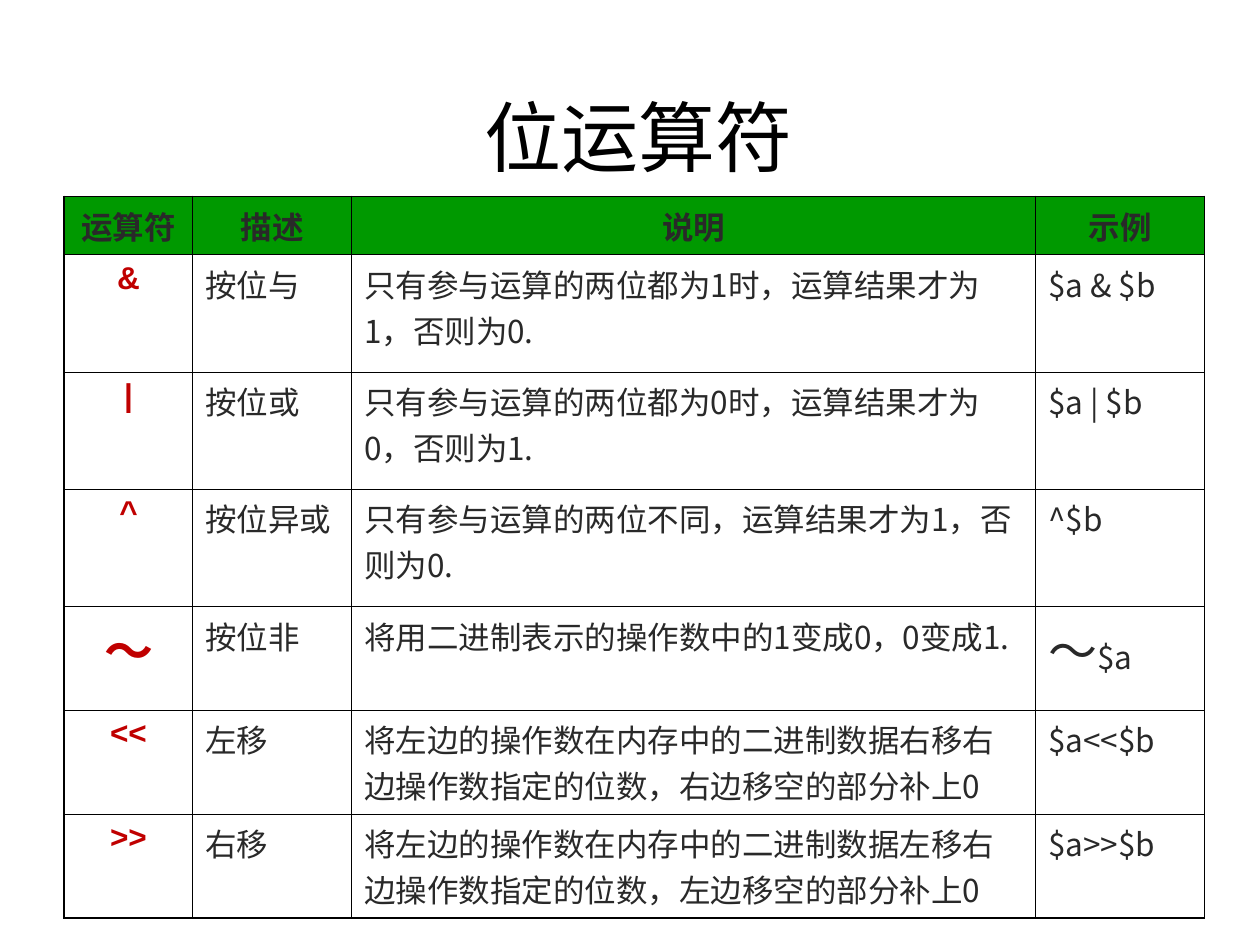
from lxml.etree import SubElement
from pptx import Presentation
from pptx.dml.color import RGBColor
from pptx.enum.text import MSO_ANCHOR as Anchor, PP_ALIGN as Align
from pptx.oxml.ns import qn
from pptx.util import Inches, Pt

BLACK = RGBColor(0x00, 0x00, 0x00)
DARK = RGBColor(0x29, 0x29, 0x29)
RED = RGBColor(0xC0, 0x00, 0x00)
GREEN = RGBColor(0x00, 0x99, 0x00)

CJK_FONT = "Noto Sans CJK SC"
TITLE_FONT = {"name": "Arial", "size": Pt(44), "bold": False}
HEADER_FONT = {"name": CJK_FONT, "size": Pt(18), "bold": True}
OPERATOR_FONT = {"name": "Arial", "size": Pt(18), "bold": True}
BODY_FONT = {"name": CJK_FONT, "size": Pt(18), "bold": False}

TILDE = "～"
TILDE_SIZE = Pt(28)
THIN, THICK = 0.45, 1.08

COLUMN_WIDTHS = [1.02, 1.26, 5.43, 1.34]
ROW_HEIGHTS = [0.42, 0.93, 0.93, 0.93, 0.78, 0.74, 0.74]
ROWS = [
    ["运算符", "描述", "说明", "示例"],
    ["&", "按位与", "只有参与运算的两位都为1时，运算结果才为1，否则为0.", "$a & $b"],
    ["|", "按位或", "只有参与运算的两位都为0时，运算结果才为0，否则为1.", "$a | $b"],
    ["^", "按位异或", "只有参与运算的两位不同，运算结果才为1，否则为0.", "^$b"],
    [TILDE, "按位非", "将用二进制表示的操作数中的1变成0，0变成1.", TILDE + "$a"],
    ["<<", "左移", "将左边的操作数在内存中的二进制数据右移右边操作数指定的位数，右边移空的部分补上0", "$a<<$b"],
    [">>", "右移", "将左边的操作数在内存中的二进制数据左移右边操作数指定的位数，左边移空的部分补上0", "$a>>$b"],
]


def add_run(paragraph, text, font_values, color):
    run = paragraph.add_run()
    run.text = text
    for name, value in font_values.items():
        setattr(run.font, name, value)
    run.font.color.rgb = color
    SubElement(run.font._element, qn("a:ea"), typeface=CJK_FONT)


def add_title(slide, text):
    title = slide.shapes.title
    place = {"left": Inches(0.5), "top": Inches(0.45),
             "width": Inches(9), "height": Inches(1.25)}
    for name, value in place.items():
        setattr(title, name, value)
    title.text_frame.vertical_anchor = Anchor.MIDDLE
    paragraph = title.text_frame.paragraphs[0]
    paragraph.alignment = Align.CENTER
    add_run(paragraph, text, TITLE_FONT, BLACK)


def set_borders(cell, row, column):
    outer = {"L": column == 0, "R": column == len(COLUMN_WIDTHS) - 1,
             "T": row == 0, "B": row == len(ROWS) - 1}
    properties = cell._tc.get_or_add_tcPr()
    for side, is_outer in outer.items():
        width = Pt(THICK if is_outer else THIN)
        line = SubElement(properties, qn(f"a:ln{side}"), w=str(width))
        fill = SubElement(line, qn("a:solidFill"))
        SubElement(fill, qn("a:srgbClr"), val=str(BLACK))


def write_cell(cell, text, row, column):
    if row == 0:
        font_values, color = HEADER_FONT, DARK
    elif column == 0:
        font_values, color = OPERATOR_FONT, RED
    else:
        font_values, color = BODY_FONT, DARK
    paragraph = cell.text_frame.paragraphs[0]
    paragraph.alignment = Align.CENTER if row == 0 or column == 0 else Align.LEFT
    paragraph.space_before = Pt(7 if text == TILDE else 4.5)
    if text.startswith(TILDE):
        add_run(paragraph, TILDE, {**font_values, "size": TILDE_SIZE}, color)
        text = text[len(TILDE):]
    if text:
        add_run(paragraph, text, font_values, color)


def add_operator_table(slide):
    frame = slide.shapes.add_table(
        len(ROWS), len(COLUMN_WIDTHS), Inches(0.51), Inches(1.56),
        Inches(sum(COLUMN_WIDTHS)), Inches(sum(ROW_HEIGHTS)))
    table = frame.table
    table.first_row = table.horz_banding = False
    for column, width in zip(table.columns, COLUMN_WIDTHS):
        column.width = Inches(width)
    for row, height in zip(table.rows, ROW_HEIGHTS):
        row.height = Inches(height)
    for row, texts in enumerate(ROWS):
        for column, text in enumerate(texts):
            cell = table.cell(row, column)
            write_cell(cell, text, row, column)
            set_borders(cell, row, column)
            if row == 0:
                cell.fill.solid()
                cell.fill.fore_color.rgb = GREEN
            else:
                cell.fill.background()


def main():
    presentation = Presentation()
    presentation.slide_width = Inches(10)
    presentation.slide_height = Inches(7.5)
    slide = presentation.slides.add_slide(presentation.slide_layouts[5])
    add_title(slide, " 位运算符")
    add_operator_table(slide)
    presentation.save("out.pptx")


main()
